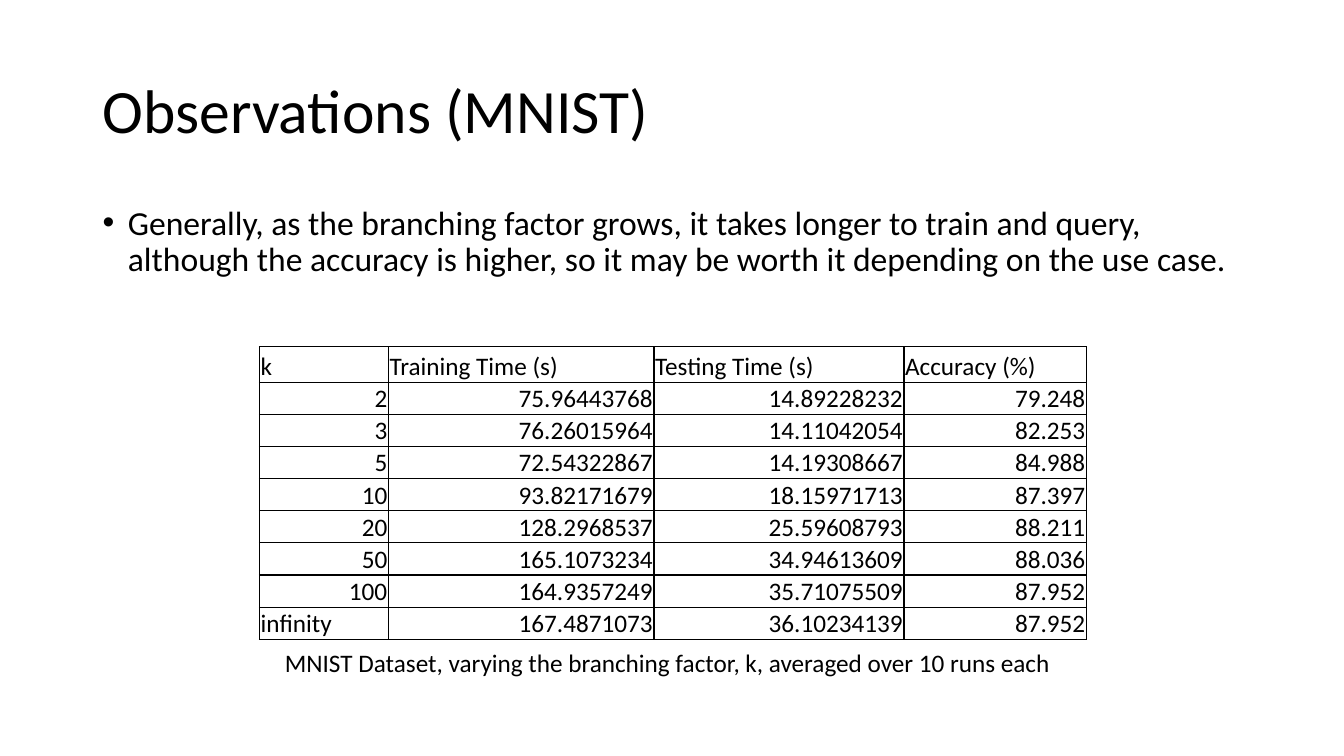
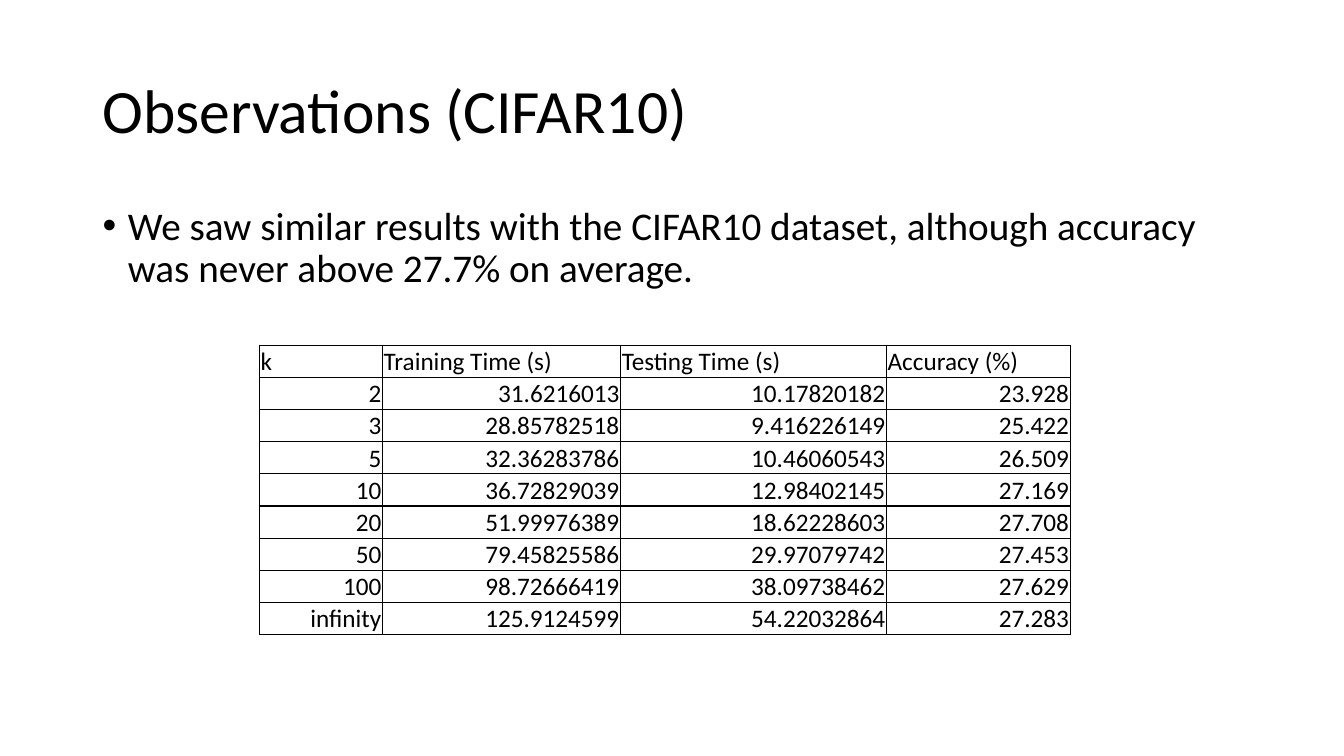
from lxml.etree import SubElement
from pptx import Presentation
from pptx.dml.color import RGBColor
from pptx.enum.text import MSO_ANCHOR, MSO_AUTO_SIZE, PP_ALIGN
from pptx.oxml import parse_xml
from pptx.oxml.ns import nsdecls, qn
from pptx.util import Cm, Pt

FONT = "Calibri"
INK = "000000"
PAPER = "FFFFFF"
MARGIN = 2.33
CONTENT_WIDTH = 29.21
TABLE_LEFT = 6.54
ROW_HEIGHT = 0.81
HEADINGS = ["k", "Training Time (s)", "Testing Time (s)", "Accuracy (%)"]

MNIST_RESULTS = [
    ["2", "75.96443768", "14.89228232", "79.248"],
    ["3", "76.26015964", "14.11042054", "82.253"],
    ["5", "72.54322867", "14.19308667", "84.988"],
    ["10", "93.82171679", "18.15971713", "87.397"],
    ["20", "128.2968537", "25.59608793", "88.211"],
    ["50", "165.1073234", "34.94613609", "88.036"],
    ["100", "164.9357249", "35.71075509", "87.952"],
    ["infinity", "167.4871073", "36.10234139", "87.952"],
]
CIFAR_RESULTS = [
    ["2", "31.6216013", "10.17820182", "23.928"],
    ["3", "28.85782518", "9.416226149", "25.422"],
    ["5", "32.36283786", "10.46060543", "26.509"],
    ["10", "36.72829039", "12.98402145", "27.169"],
    ["20", "51.99976389", "18.62228603", "27.708"],
    ["50", "79.45825586", "29.97079742", "27.453"],
    ["100", "98.72666419", "38.09738462", "27.629"],
    ["infinity", "125.9124599", "54.22032864", "27.283"],
]


def paint(color_format, color):
    color_format.rgb = RGBColor.from_string(color)


def write(frame, text, size, alignment=PP_ALIGN.LEFT):
    frame.text = text
    para = frame.paragraphs[0]
    para.alignment = alignment
    for span in para.runs:
        span.font.name = FONT
        span.font.size = Pt(size)
        paint(span.font.color, INK)
    return para


def place(box, left, top, width, height):
    box.left, box.top = Cm(left), Cm(top)
    box.width, box.height = Cm(width), Cm(height)


def add_bullet(para):
    properties = para._p.get_or_add_pPr()
    properties.set("marL", str(Cm(0.64)))
    properties.set("indent", str(Cm(-0.64)))
    SubElement(properties, qn("a:buFont")).set("typeface", "Arial")
    SubElement(properties, qn("a:buChar")).set("char", "•")


def add_page(deck, title, statement, statement_size):
    page = deck.slides.add_slide(deck.slide_layouts[1])
    page.background.fill.solid()
    paint(page.background.fill.fore_color, PAPER)

    heading = page.shapes.title
    place(heading, MARGIN, 1.01, CONTENT_WIDTH, 3.68)
    heading.text_frame.vertical_anchor = MSO_ANCHOR.MIDDLE
    heading.text_frame.auto_size = MSO_AUTO_SIZE.NONE
    write(heading.text_frame, title, 44).line_spacing = 0.9

    body = page.placeholders[1]
    place(body, MARGIN, 5.07, CONTENT_WIDTH, 12.09)
    body.text_frame.auto_size = MSO_AUTO_SIZE.NONE
    para = write(body.text_frame, statement, statement_size)
    para.line_spacing = 0.9
    para.space_before = Pt(10)
    add_bullet(para)
    return page


def add_borders(cell):
    properties = cell._tc.get_or_add_tcPr()
    for position, side in enumerate("LRTB"):
        line = parse_xml(
            f'<a:ln{side} {nsdecls("a")} w="{Pt(1)}"><a:solidFill>'
            f'<a:srgbClr val="{INK}"/></a:solidFill></a:ln{side}>'
        )
        properties.insert(position, line)


def format_cell(cell, text, alignment):
    write(cell.text_frame, text, 18, alignment)
    cell.vertical_anchor = MSO_ANCHOR.BOTTOM
    cell.margin_left = cell.margin_right = cell.margin_top = Cm(0.03)
    cell.margin_bottom = 0
    cell.fill.background()
    add_borders(cell)


def add_results(page, results, top, widths, header_height=ROW_HEIGHT, left_labels=()):
    rows = [HEADINGS] + results
    height = header_height + ROW_HEIGHT * len(results)
    table = page.shapes.add_table(
        len(rows), len(widths), Cm(TABLE_LEFT), Cm(top), Cm(sum(widths)), Cm(height)
    ).table
    table.first_row = False
    table.horz_banding = False
    for column, width in zip(table.columns, widths):
        column.width = Cm(width)
    for index, values in enumerate(rows):
        table.rows[index].height = Cm(ROW_HEIGHT if index else header_height)
        for column, text in enumerate(values):
            starts_left = index == 0 or text in left_labels
            alignment = PP_ALIGN.LEFT if starts_left else PP_ALIGN.RIGHT
            format_cell(table.cell(index, column), text, alignment)


def add_caption(page, text):
    box = page.shapes.add_textbox(Cm(6.93), Cm(16.18), Cm(20.02), Cm(1.03))
    box.text_frame.word_wrap = False
    box.text_frame.auto_size = MSO_AUTO_SIZE.SHAPE_TO_FIT_TEXT
    write(box.text_frame, text, 18)


def main():
    deck = Presentation()
    deck.slide_width, deck.slide_height = Cm(33.87), Cm(19.05)

    page = add_page(
        deck,
        "Observations (MNIST)",
        "Generally, as the branching factor grows, it takes longer to train and query, "
        "although the accuracy is higher, so it may be worth it depending on the use case.",
        24,
    )
    add_results(
        page, MNIST_RESULTS, 8.74, [3.25, 6.69, 6.3, 4.6],
        header_height=0.89, left_labels=["infinity"],
    )
    add_caption(
        page, "MNIST Dataset, varying the branching factor, k, averaged over 10 runs each"
    )

    page = add_page(
        deck,
        "Observations (CIFAR10)",
        "We saw similar results with the CIFAR10 dataset, although accuracy "
        "was never above 27.7% on average.",
        28,
    )
    add_results(page, CIFAR_RESULTS, 8.7, [3.1, 6, 6.7, 4.63])

    deck.save("out.pptx")


if __name__ == "__main__":
    main()
